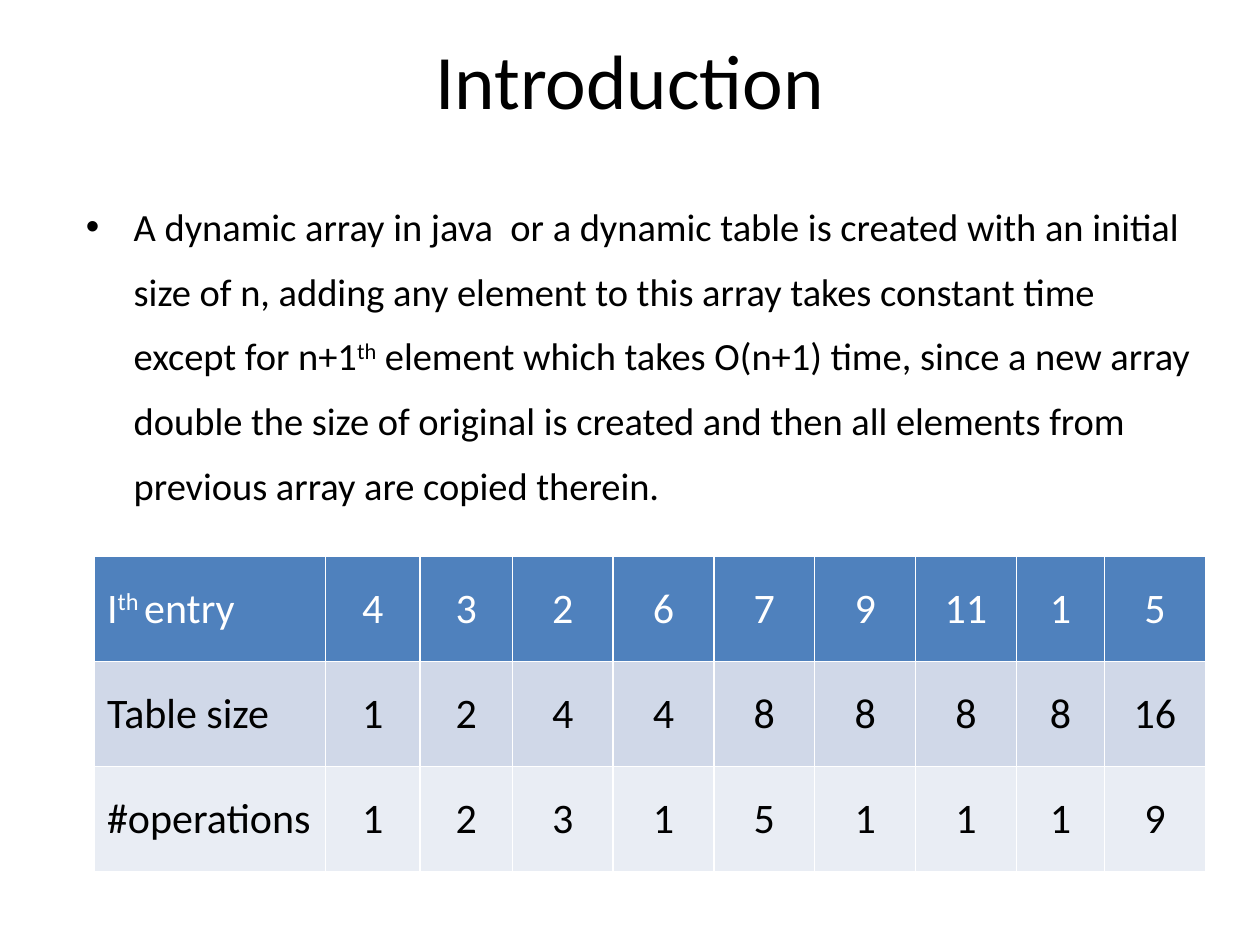
from typing import NamedTuple

from lxml.etree import SubElement
from pptx import Presentation
from pptx.dml.color import RGBColor
from pptx.enum.text import MSO_ANCHOR, PP_ALIGN
from pptx.oxml.ns import qn
from pptx.util import Emu, Inches, Pt

FONT = "Calibri"
INK = {"text": "000000", "light": "FFFFFF", "head": "4F81BD",
       "band": "D0D8E8", "pale": "E9EDF4"}
UNIT = Inches(10) / 120  # the slide is a grid of 120 columns by 90 rows


class Box(NamedTuple):
    x: float
    y: float
    w: float
    h: float


class Part(NamedTuple):
    text: str
    high: bool = False  # superscript


class Row(NamedTuple):
    label: list[Part]
    vals: list[int]
    fill: str
    ink: str


TITLE = Box(6, 0, 108, 15)
BODY = Box(7, 17, 108, 32)
TABLE = Box(9, 53, 106, 30)
COLS = [22, 9, 8.8, *[9.6] * 5, 8.4, 9.6]
ROWS = [
    Row([Part("I"), Part("th ", True), Part("entry")],
        [4, 3, 2, 6, 7, 9, 11, 1, 5], "head", "light"),
    Row([Part("Table size")], [1, 2, 4, 4, 8, 8, 8, 8, 16], "band", "text"),
    Row([Part("#operations")], [1, 2, 3, 1, 5, 1, 1, 1, 9], "pale", "text"),
]
POINT = [
    Part("A dynamic array in java  or a dynamic table is created with an "
         "initial size of n, adding any element to this array takes constant "
         "time except for n+1"),
    Part("th", True),
    Part(" element which takes O(n+1) time, since a new array double the size "
         "of original is created and then all elements from previous array "
         "are copied therein."),
]


def grid(n: float) -> Emu:
    return Emu(round(n * UNIT))


def place(box: Box) -> list[Emu]:
    return [grid(n) for n in box]


def tint(name: str) -> RGBColor:
    return RGBColor.from_string(INK[name])


def write(para, parts: list[Part], size: int, ink: str = "text",
          align=PP_ALIGN.LEFT) -> None:
    para.alignment = align
    para.font.name = FONT
    para.font.size = Pt(size)
    para.font.color.rgb = tint(ink)
    for part in parts:
        run = para.add_run()
        run.text = part.text
        run.font.bold = False
        if part.high:
            run.font._element.set("baseline", "30000")


def add_text(slide, box: Box, anchor):
    frame = slide.shapes.add_textbox(*place(box)).text_frame
    frame.word_wrap = True
    frame.vertical_anchor = anchor
    return frame.paragraphs[0]


def add_bullet(para) -> None:
    para.line_spacing = 1.4
    para.space_before = Pt(4.4)
    props = para._p.get_or_add_pPr()
    props.set("marL", str(Inches(0.38)))
    props.set("indent", str(-Inches(0.38)))
    SubElement(props, qn("a:buFont")).set("typeface", "Arial")
    SubElement(props, qn("a:buChar")).set("char", "•")


def add_grid(slide) -> None:
    table = slide.shapes.add_table(len(ROWS), len(COLS), *place(TABLE)).table
    for col, width in zip(table.columns, COLS):
        col.width = grid(width)
    for r, row in enumerate(ROWS):
        table.rows[r].height = grid(TABLE.h / len(ROWS))
        cells = [row.label, *([Part(str(val))] for val in row.vals)]
        for c, parts in enumerate(cells):
            cell = table.cell(r, c)
            cell.fill.solid()
            cell.fill.fore_color.rgb = tint(row.fill)
            cell.vertical_anchor = MSO_ANCHOR.MIDDLE
            align = PP_ALIGN.CENTER if c else PP_ALIGN.LEFT
            write(cell.text_frame.paragraphs[0], parts, 24, row.ink, align)


def main() -> None:
    deck = Presentation()
    deck.slide_width, deck.slide_height = grid(120), grid(90)
    slide = deck.slides.add_slide(deck.slide_layouts[6])

    # Title
    head = add_text(slide, TITLE, MSO_ANCHOR.MIDDLE)
    write(head, [Part("Introduction")], 44, align=PP_ALIGN.CENTER)

    # Bulleted text
    para = add_text(slide, BODY, MSO_ANCHOR.TOP)
    add_bullet(para)
    write(para, POINT, 22)

    # Table of costs
    add_grid(slide)
    deck.save("out.pptx")


if __name__ == "__main__":
    main()
